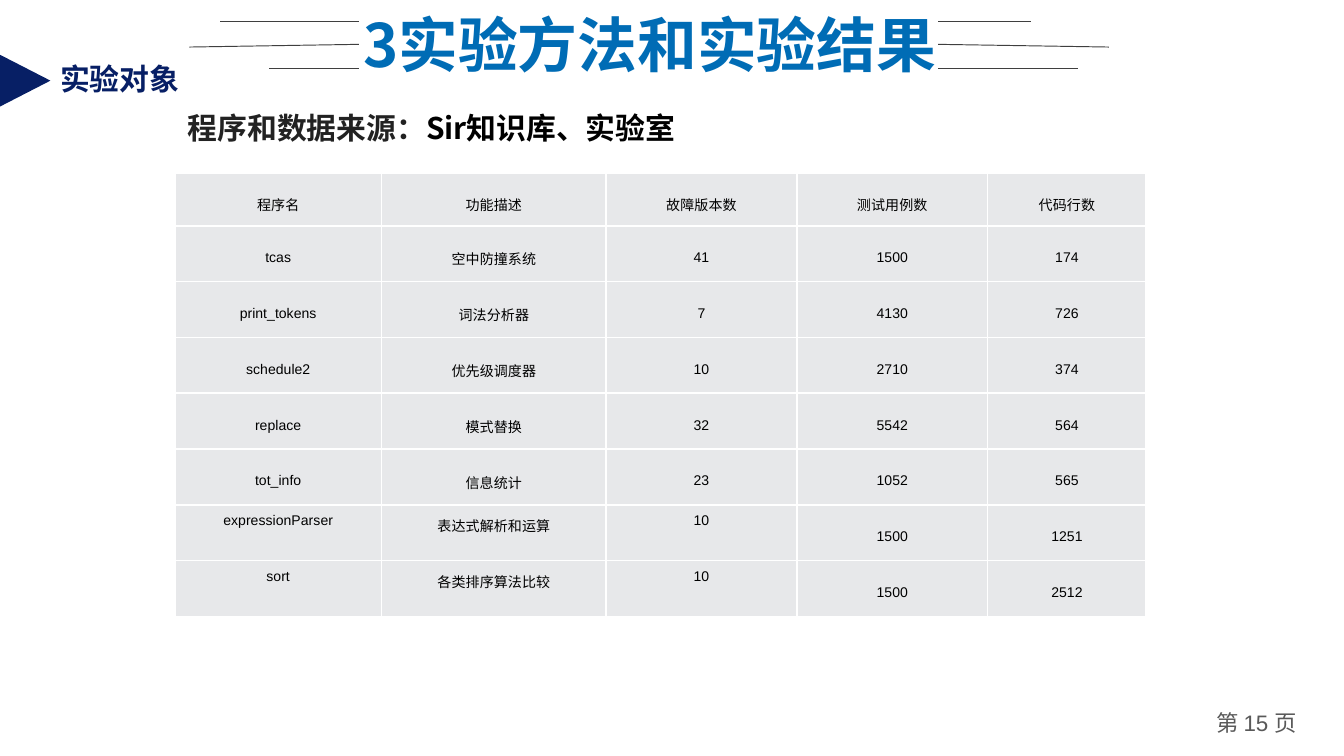
from dataclasses import dataclass

from lxml.etree import SubElement
from pptx import Presentation
from pptx.dml.color import RGBColor
from pptx.enum.shapes import MSO_CONNECTOR as Connector, MSO_SHAPE as Shape
from pptx.enum.text import MSO_ANCHOR as Anchor, PP_ALIGN as Align
from pptx.oxml.ns import qn
from pptx.util import Inches, Pt


@dataclass(frozen=True)
class Theme:
    latin: str = "Arial"
    cjk: str = "Noto Sans CJK SC"
    navy: str = "071F65"
    blue: str = "006CB5"
    rule: str = "3F3F3F"
    ink: str = "222222"
    black: str = "000000"
    grey: str = "595959"
    cell: str = "E7E8EA"
    border: str = "FFFFFF"
    title_size: float = 32
    heading_size: float = 16
    page_size: float = 12
    table_size: float = 7.5


THEME = Theme()

PROGRAMS = [
    ("程序名", "功能描述", "故障版本数", "测试用例数", "代码行数"),
    ("tcas", "空中防撞系统", "41", "1500", "174"),
    ("print_tokens", "词法分析器", "7", "4130", "726"),
    ("schedule2", "优先级调度器", "10", "2710", "374"),
    ("replace", "模式替换", "32", "5542", "564"),
    ("tot_info", "信息统计", "23", "1052", "565"),
    ("expressionParser", "表达式解析和运算", "10", "1500", "1251"),
    ("sort", "各类排序算法比较", "10", "1500", "2512"),
]
COLUMN_WIDTHS = (1.54, 1.67, 1.42, 1.42, 1.18)
TABLE_HEIGHT, HEADER_HEIGHT = 3.3, 0.39

# Outer ends of the title rules, by the x where they meet the title
TITLE_RULES = {
    2.67: [(1.64, 0.16, 0.16), (1.41, 0.33, 0.35), (2, 0.51, 0.51)],
    6.98: [(7.67, 0.16, 0.16), (8.25, 0.33, 0.35), (8.02, 0.51, 0.51)],
}


def add_run(paragraph, text, size, color, font=THEME.cjk, bold=False):
    run = paragraph.add_run()
    run.text = text
    for name, value in {"name": font, "size": Pt(size), "bold": bold}.items():
        setattr(run.font, name, value)
    run.font.color.rgb = RGBColor.from_string(color)
    # East Asian characters need their own typeface
    SubElement(run.font._element, qn("a:ea"), typeface=THEME.cjk)


def add_text(slide, box, runs, align=Align.LEFT, insets=(0.1, 0.05), wrap=True):
    frame = slide.shapes.add_textbox(*map(Inches, box)).text_frame
    across, down = map(Inches, insets)
    layout = {"margin_left": across, "margin_right": across,
              "margin_top": down, "margin_bottom": down, "word_wrap": wrap}
    for name, value in layout.items():
        setattr(frame, name, value)
    paragraph = frame.paragraphs[0]
    paragraph.alignment = align
    for run in runs:
        add_run(paragraph, **run)


def add_rule(slide, start, end):
    rule = slide.shapes.add_connector(
        Connector.STRAIGHT, *map(Inches, (*start, *end)))
    rule.line.color.rgb = RGBColor.from_string(THEME.rule)
    rule.line.width = Pt(0.5)
    SubElement(rule._element.spPr, qn("a:effectLst"))


def add_marker(slide):
    marker = slide.shapes.add_shape(
        Shape.ISOSCELES_TRIANGLE, *map(Inches, (-0.01, 0.41, 0.39, 0.38)))
    marker.rotation = 90
    marker.shadow.inherit = False
    marker.fill.solid()
    marker.fill.fore_color.rgb = RGBColor.from_string(THEME.navy)
    marker.line.fill.background()


def add_borders(cell):
    properties = cell._tc.get_or_add_tcPr()
    for place, side in enumerate(("a:lnL", "a:lnR", "a:lnT", "a:lnB")):
        edge = properties.makeelement(qn(side), {"w": str(Pt(1))})
        fill = SubElement(edge, qn("a:solidFill"))
        SubElement(fill, qn("a:srgbClr"), val=THEME.border)
        properties.insert(place, edge)


def fill_cell(cell, text, anchor):
    layout = {"margin_left": Inches(0.07), "margin_right": Inches(0.07),
              "margin_top": 0, "margin_bottom": 0, "vertical_anchor": anchor}
    for name, value in layout.items():
        setattr(cell, name, value)
    cell.fill.solid()
    cell.fill.fore_color.rgb = RGBColor.from_string(THEME.cell)
    add_borders(cell)
    paragraph = cell.text_frame.paragraphs[0]
    paragraph.alignment = Align.CENTER
    paragraph.line_spacing = 1.5
    add_run(paragraph, text, THEME.table_size, THEME.black, THEME.latin)


def add_program_table(slide):
    programs = slide.shapes.add_table(
        len(PROGRAMS), len(COLUMN_WIDTHS), Inches(1.3), Inches(1.29),
        Inches(sum(COLUMN_WIDTHS)), Inches(TABLE_HEIGHT)).table
    for column, width in zip(programs.columns, COLUMN_WIDTHS):
        column.width = Inches(width)
    body_height = (TABLE_HEIGHT - HEADER_HEIGHT) / (len(PROGRAMS) - 1)
    for r, program in enumerate(PROGRAMS):
        programs.rows[r].height = Inches(body_height if r else HEADER_HEIGHT)
        for c, text in enumerate(program):
            # The last two programs start at the top in the first three columns
            at_top = r >= len(PROGRAMS) - 2 and c < 3
            fill_cell(programs.cell(r, c), text,
                      Anchor.TOP if at_top else Anchor.MIDDLE)


def main():
    # A 16:9 slide
    deck = Presentation()
    deck.slide_width, deck.slide_height = Inches(10), Inches(10 * 9 / 16)
    slide = deck.slides.add_slide(deck.slide_layouts[6])

    # Page number
    page = {"size": THEME.page_size, "color": THEME.grey}
    add_text(slide, (8.9, 5.24, 0.9, 0.3),
             [{"text": "第 ", **page},
              {"text": "15 ", "font": THEME.latin, **page},
              {"text": "页", **page}],
             Align.CENTER, insets=(0.07, 0.04))

    # Section label and title
    heading = {"size": THEME.heading_size, "bold": True}
    add_text(slide, (0.35, 0.4, 1.1, 0.37),
             [{"text": "实验对象", "color": THEME.navy,
               "font": THEME.latin, **heading}], wrap=False)
    add_text(slide, (2.44, 0.06, 4.79, 0.54),
             [{"text": "3实验方法和实验结果", "size": THEME.title_size,
               "color": THEME.blue, "bold": True}],
             Align.CENTER, insets=(0, 0))
    for inner, rules in TITLE_RULES.items():
        for outer, inner_y, outer_y in rules:
            add_rule(slide, (inner, inner_y), (outer, outer_y))
    add_marker(slide)

    # Programs under test and where they come from
    add_program_table(slide)
    add_text(slide, (1.3, 0.77, 3.94, 0.37),
             [{"text": "程序和数据来源：", "color": THEME.ink, **heading},
              {"text": "Sir知识库、实验室", "color": THEME.black, **heading}],
             wrap=False)

    deck.save("out.pptx")


if __name__ == "__main__":
    main()
